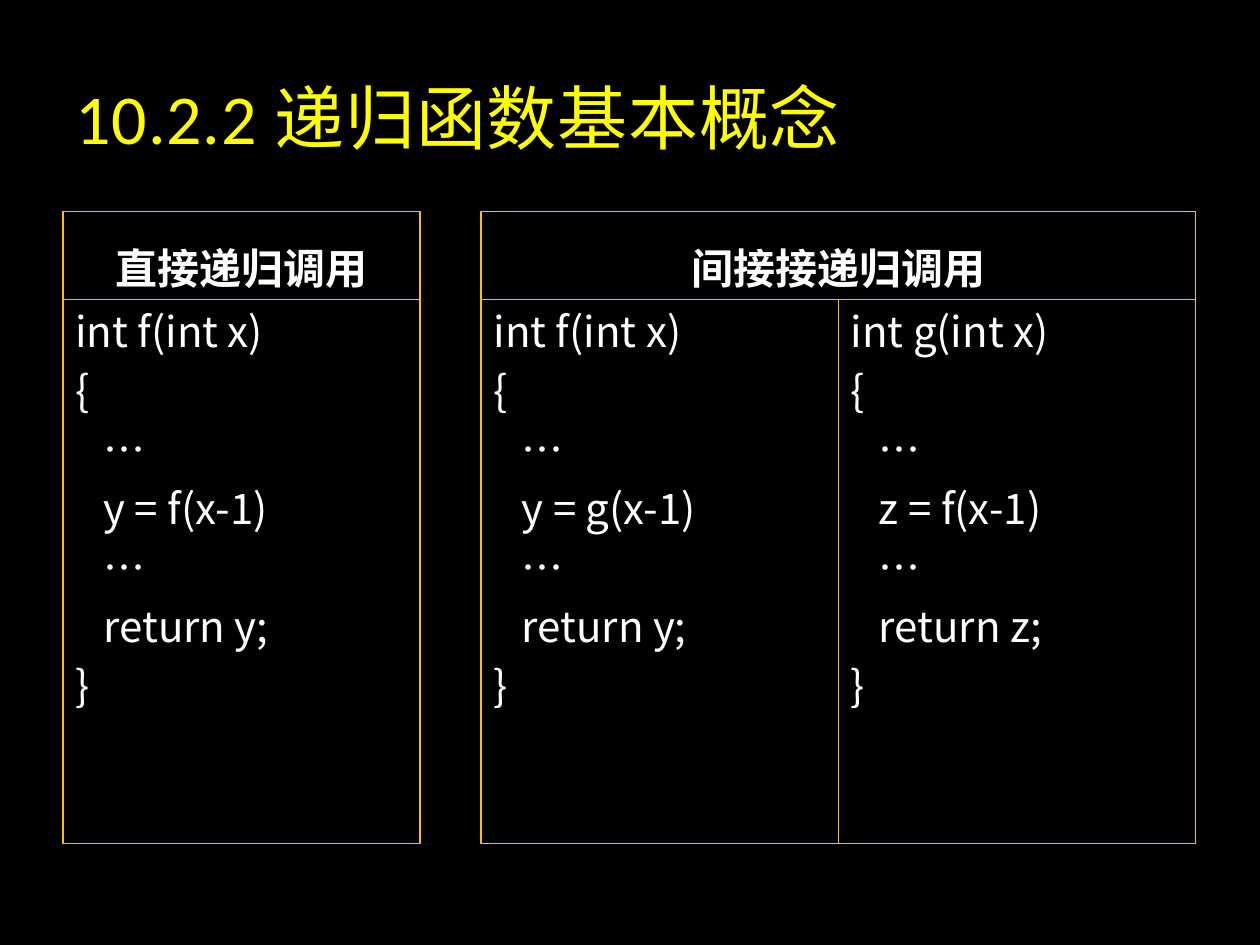
import pptx
import pptx.dml.color
import pptx.enum.shapes
import pptx.enum.text
import pptx.util

Cm, Pt = pptx.util.Cm, pptx.util.Pt
ANCHOR = pptx.enum.text.MSO_ANCHOR
ALIGN = pptx.enum.text.PP_ALIGN


def rgb(value):
    return pptx.dml.color.RGBColor.from_string(value)


class Deck:
    BACKGROUND, TITLE, TEXT, BORDER = "000000", "FFFF00", "FFFFFF", "FFC000"
    TITLE_FONT, BODY_FONT = "Calibri", "Noto Sans CJK SC"
    CODE_INDENT = Cm(0.57)

    def __init__(self):
        self.prs = pptx.Presentation()
        self.prs.slide_width, self.prs.slide_height = Cm(25.4), Cm(19.05)
        self.s = None

    def add_slide(self):
        self.s = self.prs.slides.add_slide(self.prs.slide_layouts[5])
        fill = self.s.background.fill
        fill.solid()
        fill.fore_color.rgb = rgb(self.BACKGROUND)

    def style(self, p, font, size, color, bold=False):
        p.font.name, p.font.size, p.font.bold = font, Pt(size), bold
        p.font.color.rgb = rgb(color)

    def title(self, text, left, top, width, height):
        sp = self.s.shapes.title
        sp.left, sp.top, sp.width, sp.height = map(Cm, (left, top, width, height))
        tf = sp.text_frame
        tf.vertical_anchor = ANCHOR.MIDDLE
        p = tf.paragraphs[0]
        p.alignment = ALIGN.LEFT
        self.style(p, self.TITLE_FONT, 40, self.TITLE)
        r = p.add_run()
        r.text = text
        r.font._element.set("spc", "50")

    def box(self, left, top, width, height, anchor):
        """Add an outlined box and return its text frame."""
        sp = self.s.shapes.add_shape(
            pptx.enum.shapes.MSO_SHAPE.RECTANGLE, *map(Cm, (left, top, width, height)))
        sp.shadow.inherit = False
        sp.fill.background()
        sp.line.color.rgb = rgb(self.BORDER)
        sp.line.width = Pt(0.75)
        tf = sp.text_frame
        tf.word_wrap = True
        tf.vertical_anchor = anchor
        return tf

    def header(self, text, left, top, width, height):
        p = self.box(left, top, width, height, ANCHOR.BOTTOM).paragraphs[0]
        p.text = text
        p.alignment = ALIGN.CENTER
        self.style(p, self.BODY_FONT, 24, self.TEXT, bold=True)

    def function(self, signature, body, left, top, width, height):
        """Add a box with a function whose body lines are indented."""
        tf = self.box(left, top, width, height, ANCHOR.TOP)
        lines = [signature, "{", *body, "}"]
        for i, line in enumerate(lines):
            p = tf.paragraphs[0] if i == 0 else tf.add_paragraph()
            p.text = line
            p.alignment = ALIGN.LEFT
            p.space_before = Pt(4.8)
            p.line_spacing = Pt(28.9)
            if line in body:
                p._p.get_or_add_pPr().set("marL", str(self.CODE_INDENT))
            self.style(p, self.BODY_FONT, 24, self.TEXT)


def main():
    header_top, header_height = 4.26, 1.78
    code_top, code_height = header_top + header_height, 10.97
    column = 7.2
    direct_left, indirect_left = 1.27, 9.7

    deck = Deck()
    deck.add_slide()
    deck.title("10.2.2 递归函数基本概念", 1.27, 0.76, 21.59, 3.18)

    for text, left, columns in (("直接递归调用", direct_left, 1),
                                ("间接接递归调用", indirect_left, 2)):
        deck.header(text, left, header_top, columns * column, header_height)

    functions = (
        ("f", "y", "f", direct_left),
        ("f", "y", "g", indirect_left),
        ("g", "z", "f", indirect_left + column),
    )
    for name, result, called, left in functions:
        body = ["…", f"{result} = {called}(x-1)", "…", f"return {result};"]
        deck.function(f"int {name}(int x)", body, left, code_top, column, code_height)

    deck.prs.save("out.pptx")


if __name__ == "__main__":
    main()
